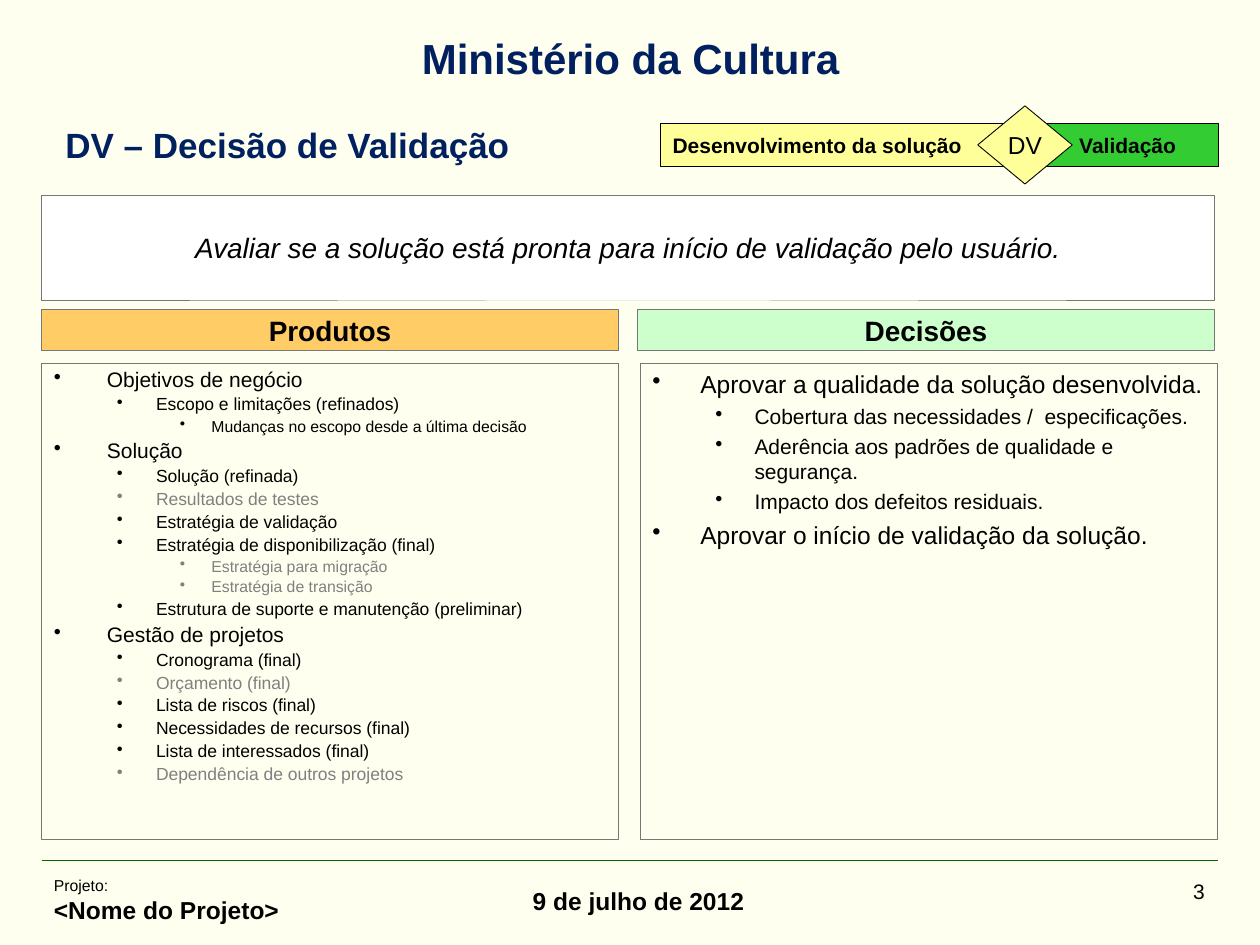
from lxml import etree
from pptx import Presentation
from pptx.dml.color import RGBColor
from pptx.enum.dml import MSO_LINE
from pptx.enum.shapes import MSO_CONNECTOR, MSO_SHAPE
from pptx.enum.text import MSO_ANCHOR, PP_ALIGN
from pptx.oxml.ns import qn
from pptx.util import Inches, Pt

RECT, DIAMOND = MSO_SHAPE.RECTANGLE, MSO_SHAPE.DIAMOND
LEFT, CENTER, RIGHT = PP_ALIGN.LEFT, PP_ALIGN.CENTER, PP_ALIGN.RIGHT
TOP, MIDDLE = MSO_ANCHOR.TOP, MSO_ANCHOR.MIDDLE
DOTTED = MSO_LINE.ROUND_DOT

BACKGROUND, NAVY, BLACK, GRAY = "FFFFEF", "002060", "000000", "808080"
BORDER, GREEN, YELLOW = "777777", "006600", "FFFF99"

# level, text, color
PRODUCTS = [
    (0, "Objetivos de negócio", BLACK),
    (1, "Escopo e limitações (refinados)", BLACK),
    (2, "Mudanças no escopo desde a última decisão", BLACK),
    (0, "Solução", BLACK),
    (1, "Solução (refinada)", BLACK),
    (1, "Resultados de testes", GRAY),
    (1, "Estratégia de validação", BLACK),
    (1, "Estratégia de disponibilização (final)", BLACK),
    (2, "Estratégia para migração", GRAY),
    (2, "Estratégia de transição", GRAY),
    (1, "Estrutura de suporte e manutenção (preliminar)", BLACK),
    (0, "Gestão de projetos", BLACK),
    (1, "Cronograma (final)", BLACK),
    (1, "Orçamento (final)", GRAY),
    (1, "Lista de riscos (final)", BLACK),
    (1, "Necessidades de recursos (final)", BLACK),
    (1, "Lista de interessados (final)", BLACK),
    (1, "Dependência de outros projetos", GRAY),
]
DECISIONS = [
    (0, "Aprovar a qualidade da solução desenvolvida.", BLACK),
    (1, "Cobertura das necessidades /  especificações.", BLACK),
    (1, "Aderência aos padrões de qualidade e segurança.", BLACK),
    (1, "Impacto dos defeitos residuais.", BLACK),
    (0, "Aprovar o início de validação da solução.", BLACK),
]

# left, items, line spacing, (size, margin, hanging) by level
LISTS = [
    (0.33, PRODUCTS, 0.9, [(12, 0.42, 0.42), (10, 0.81, 0.31), (9, 1.25, 0.25)]),
    (5.08, DECISIONS, 1.0, [(14, 0.38, 0.38), (12, 0.81, 0.31)]),
]

# shape, box, fill, line, width, text, size, bold, italic, alignment
PANELS = [
    (RECT, (0.33, 2.46, 4.58, 0.32), "FFCC66", BORDER, 0.5, "Produtos", 16, True, False, CENTER),
    (RECT, (5.06, 2.46, 4.58, 0.32), "CCFFCC", BORDER, 0.5, "Decisões", 16, True, False, CENTER),
    (RECT, (0.33, 1.55, 9.31, 0.83), "FFFFFF", BORDER, 0.25,
     "Avaliar se a solução está pronta para início de validação pelo usuário.", 16, False, True, CENTER),
    (RECT, (8.23, 0.98, 1.44, 0.34), "33CC33", BLACK, 0.5, "Validação", 12, True, False, CENTER),
    (RECT, (5.24, 0.98, 2.76, 0.34), YELLOW, BLACK, 0.5,
     "Desenvolvimento da solução", 12, True, False, LEFT),
    (DIAMOND, (7.76, 0.84, 0.75, 0.62), YELLOW, BLACK, 0.5, "DV", 14, False, False, CENTER),
]

# box, (text, size, bold) lines, color, alignment, anchor
LABELS = [
    ((0.47, 0.21, 9.07, 0.5), [("Ministério da Cultura", 24, True)], NAVY, CENTER, TOP),
    ((0.42, 0.9, 4.5, 0.5), [("DV – Decisão de Validação", 20, True)], NAVY, LEFT, MIDDLE),
    ((4.13, 6.98, 2.2, 0.39), [("9 de julho de 2012", 14, True)], BLACK, LEFT, TOP),
    ((7.58, 6.92, 2.08, 0.5), [("3", 12, False)], BLACK, RIGHT, TOP),
    ((0.33, 6.9, 3, 0.5), [("Projeto:", 9, False), ("<Nome do Projeto>", 14, True)], BLACK, LEFT, TOP),
]


def rgb(value):
    return RGBColor.from_string(value)


def write(p, text, size, color=BLACK, bold=False, italic=False, align=LEFT):
    p.add_run().text = text
    p.alignment = align
    p.font.name = "Arial"
    p.font.size = Pt(size)
    p.font.bold = bold
    p.font.italic = italic
    p.font.color.rgb = rgb(color)


def paragraph(tf, i):
    return tf.add_paragraph() if i else tf.paragraphs[0]


def add_panel(s, kind, box, fill, line, width):
    sp = s.shapes.add_shape(kind, *map(Inches, box))
    sp.shadow.inherit = False
    if fill:
        sp.fill.solid()
        sp.fill.fore_color.rgb = rgb(fill)
    else:
        sp.fill.background()
    sp.line.color.rgb = rgb(line)
    sp.line.width = Pt(width)
    sp.text_frame.word_wrap = kind != DIAMOND
    sp.text_frame.vertical_anchor = MIDDLE
    return sp


def add_list(s, left, items, spacing, levels):
    sp = add_panel(s, RECT, (left, 2.88, 4.58, 3.78), None, BORDER, 0.25)
    sp.line.dash_style = DOTTED
    tf = sp.text_frame
    tf.vertical_anchor = TOP
    for i, (level, text, color) in enumerate(items):
        size, margin, hanging = levels[level]
        p = paragraph(tf, i)
        write(p, text, size, color)
        p.level = level
        p.line_spacing = spacing
        p.space_before = Pt(round(size * 0.23, 1))
        pPr = p._p.get_or_add_pPr()
        pPr.set("marL", str(Inches(margin)))
        pPr.set("indent", str(-Inches(hanging)))
        bullet = etree.Element(qn("a:buChar"), char="•")
        pPr.find(qn("a:defRPr")).addprevious(bullet)


def add_label(s, box, lines, color, align, anchor):
    tf = s.shapes.add_textbox(*map(Inches, box)).text_frame
    tf.word_wrap = True
    tf.vertical_anchor = anchor
    for i, (text, size, bold) in enumerate(lines):
        write(paragraph(tf, i), text, size, color, bold, align=align)


def main():
    prs = Presentation()
    prs.slide_width, prs.slide_height = Inches(10), Inches(7.5)
    s = prs.slides.add_slide(prs.slide_layouts[6])
    s.background.fill.solid()
    s.background.fill.fore_color.rgb = rgb(BACKGROUND)

    rule = s.shapes.add_connector(
        MSO_CONNECTOR.STRAIGHT, Inches(0.33), Inches(6.83), Inches(9.67), Inches(6.83))
    rule.line.color.rgb = rgb(GREEN)
    rule.line.width = Pt(0.75)
    etree.SubElement(rule._element.spPr, qn("a:effectLst"))

    for args in LISTS:
        add_list(s, *args)
    for kind, box, fill, line, width, text, size, bold, italic, align in PANELS:
        sp = add_panel(s, kind, box, fill, line, width)
        write(sp.text_frame.paragraphs[0], text, size, BLACK, bold, italic, align)
    for args in LABELS:
        add_label(s, *args)

    prs.save("out.pptx")


if __name__ == "__main__":
    main()
